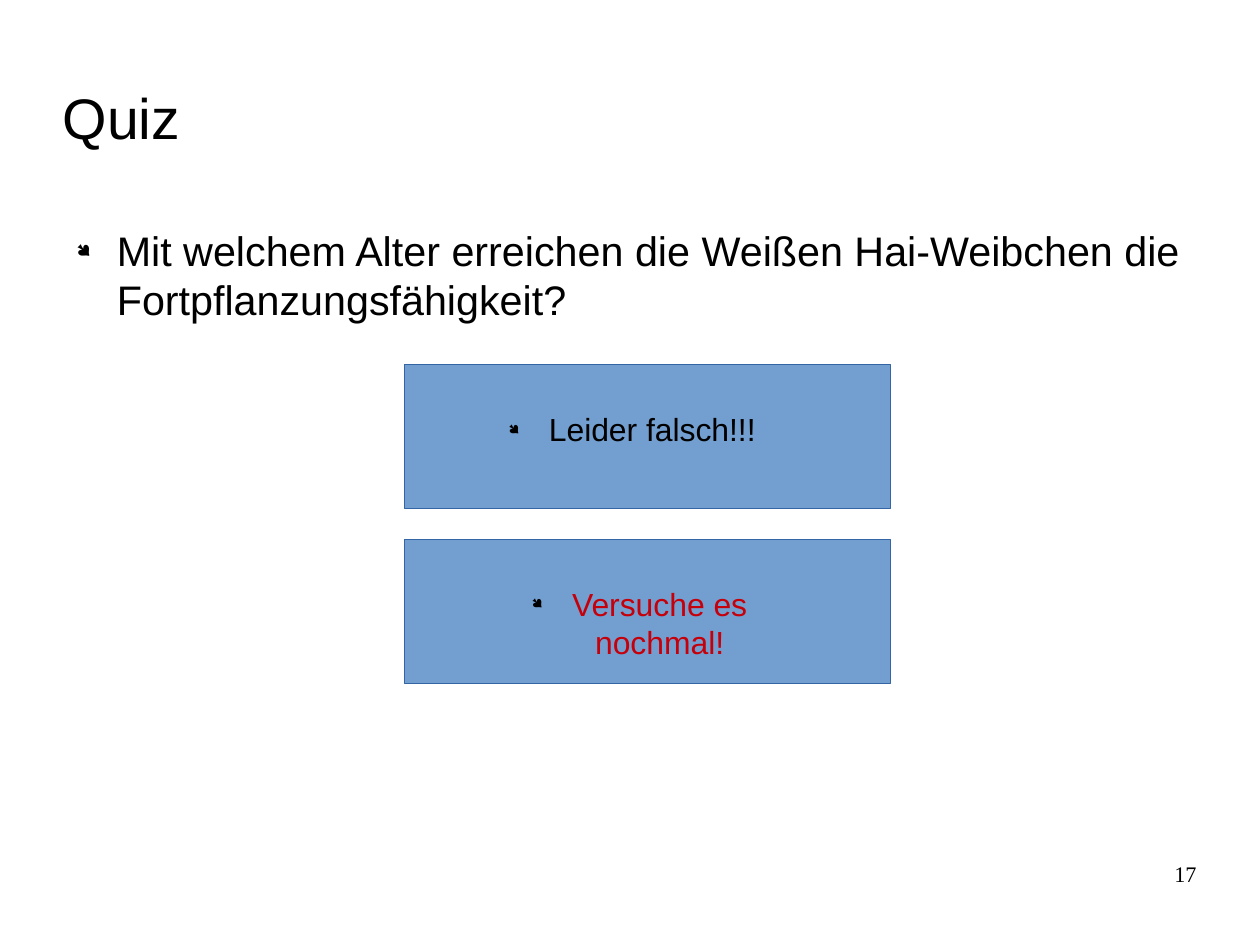
from typing import NamedTuple, Optional

from lxml import etree
from pptx import Presentation
from pptx.dml import color
from pptx.enum import shapes, text
from pptx.oxml import ns
from pptx.util import Pt

BLACK, RED = "000000", "C5000B"
LEFT, RIGHT = 39.6, 753.84
INDENT, HANGING = 34, -25.5
ANSWER_LEFT, ANSWER_WIDTH, ANSWER_HEIGHT = 255, 306, 90.7
ANSWER_TOP, ANSWER_STEP = 229.6, 110.2


class Label(NamedTuple):
    words: str
    left: float
    top: float
    width: float
    height: float
    size: float
    color: str = BLACK
    font: str = "Arial"
    align: text.PP_ALIGN = text.PP_ALIGN.LEFT
    anchor: text.MSO_ANCHOR = text.MSO_ANCHOR.TOP
    bullet: Optional[str] = None


class Answer(NamedTuple):
    words: str
    color: str
    align: text.PP_ALIGN


TITLE = Label("Quiz", LEFT, 45, 566.64, 56.7, 36,
              anchor=text.MSO_ANCHOR.MIDDLE)
QUESTION = Label(
    "Mit welchem Alter erreichen die Weißen Hai-Weibchen die "
    "Fortpflanzungsfähigkeit?",
    LEFT, 141.7, RIGHT - LEFT, 344.88, 26, bullet="●")
PAGE_NUMBER = Label("17", RIGHT - 185, 542.16, 185, 41, 14,
                    font="Times New Roman", align=text.PP_ALIGN.RIGHT)
ANSWERS = [
    Answer("Leider falsch!!!", BLACK, text.PP_ALIGN.LEFT),
    Answer("Versuche es nochmal!", RED, text.PP_ALIGN.CENTER),
]


def rgb(value: str) -> color.RGBColor:
    return color.RGBColor.from_string(value)


def add_bullet(p, char: str) -> None:
    """Give the paragraph a small black bullet with a hanging indent."""
    pPr = p._p.get_or_add_pPr()
    pPr.set("marL", str(Pt(INDENT)))
    pPr.set("indent", str(Pt(HANGING)))
    bullet_color = etree.SubElement(pPr, ns.qn("a:buClr"))
    etree.SubElement(bullet_color, ns.qn("a:srgbClr"), val=BLACK)
    etree.SubElement(pPr, ns.qn("a:buSzPct"), val="45000")
    etree.SubElement(pPr, ns.qn("a:buFont"), typeface="Wingdings", charset="2")
    etree.SubElement(pPr, ns.qn("a:buChar"), char=char)
    p.space_after = Pt(14.2)


def add_label(slide, label: Label) -> None:
    sp = slide.shapes.add_textbox(Pt(label.left), Pt(label.top),
                                  Pt(label.width), Pt(label.height))
    tf = sp.text_frame
    tf.word_wrap = True
    tf.margin_left = tf.margin_right = tf.margin_top = tf.margin_bottom = 0
    tf.vertical_anchor = label.anchor
    p = tf.paragraphs[0]
    p.alignment = label.align
    if label.bullet:
        add_bullet(p, label.bullet)
    r = p.add_run()
    r.text = label.words
    r.font.name = label.font
    r.font.size = Pt(label.size)
    r.font.color.rgb = rgb(label.color)


def add_answer(slide, answer: Answer, top: float) -> None:
    sp = slide.shapes.add_shape(
        shapes.MSO_SHAPE.RECTANGLE, Pt(ANSWER_LEFT), Pt(top),
        Pt(ANSWER_WIDTH), Pt(ANSWER_HEIGHT))
    sp.shadow.inherit = False
    sp.fill.solid()
    sp.fill.fore_color.rgb = rgb("729FCF")
    sp.line.color.rgb = rgb("3465A4")
    sp.line.width = Pt(0)
    add_label(slide, Label(answer.words, ANSWER_LEFT + 56.8, top + 28.4,
                           173.52, 36, 20.1, answer.color,
                           align=answer.align, bullet="●"))


def main() -> None:
    prs = Presentation()
    prs.slide_width, prs.slide_height = Pt(793.75), Pt(595.25)
    s = prs.slides.add_slide(prs.slide_layouts[6])
    add_label(s, TITLE)
    add_label(s, QUESTION)
    for i, answer in enumerate(ANSWERS):
        add_answer(s, answer, ANSWER_TOP + i * ANSWER_STEP)
    add_label(s, PAGE_NUMBER)
    prs.save("out.pptx")


if __name__ == "__main__":
    main()
